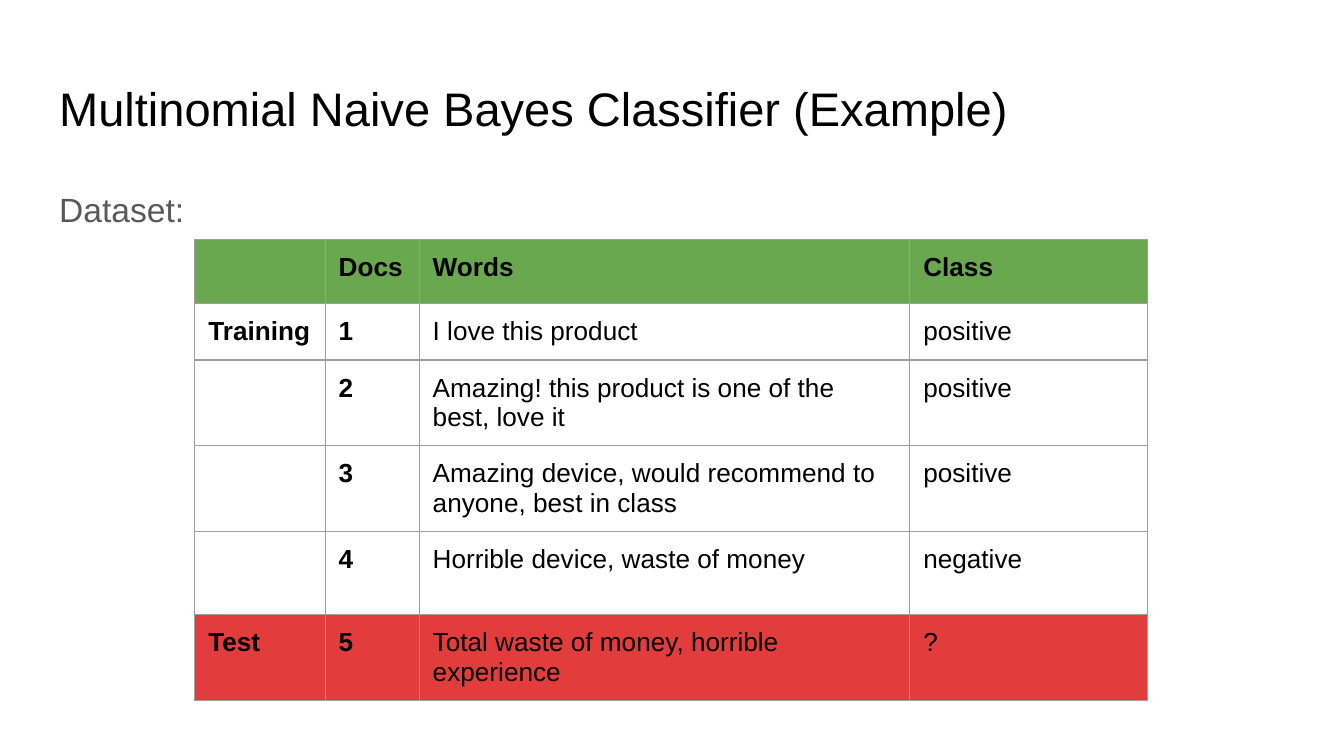
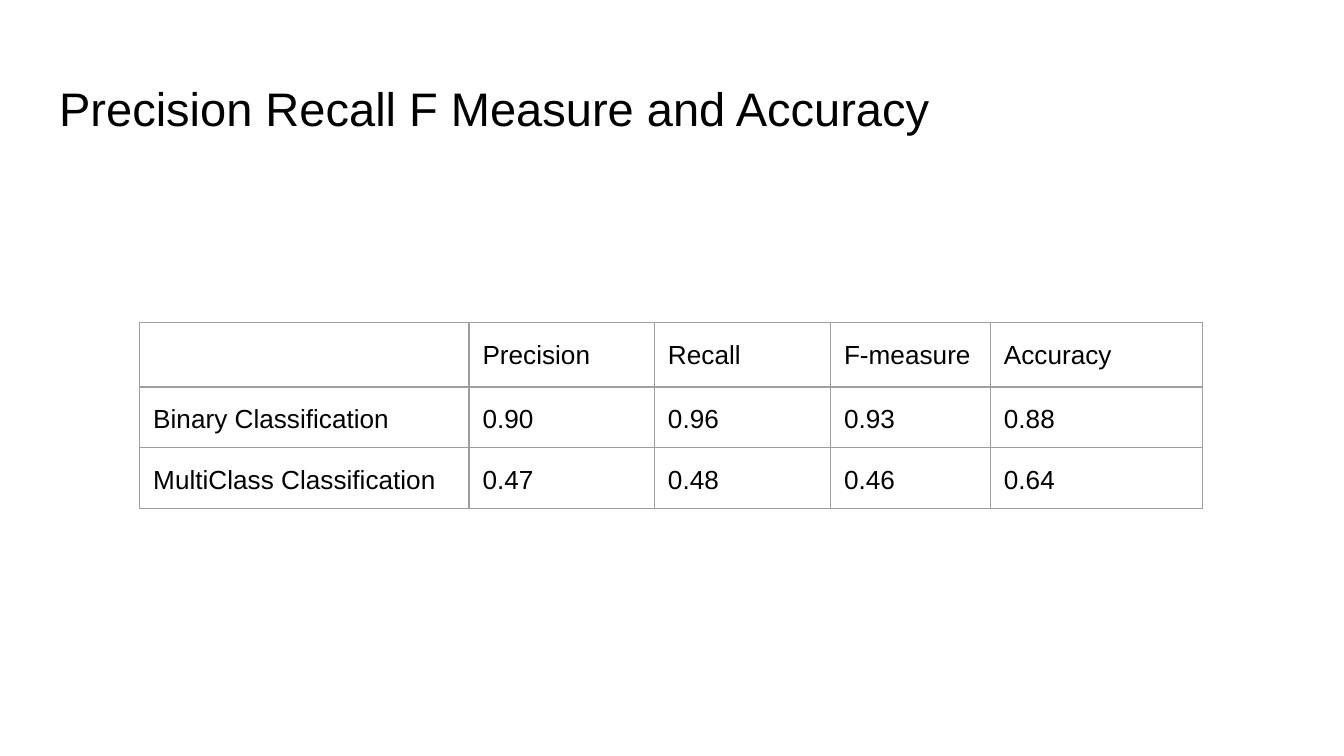
from lxml import etree
from pptx import Presentation
from pptx.dml.color import RGBColor
from pptx.enum import text
from pptx.oxml.ns import qn
from pptx.util import Inches, Pt

BLACK = RGBColor(0x00, 0x00, 0x00)
GRAY = RGBColor(0x59, 0x59, 0x59)
LINE = RGBColor(0x9E, 0x9E, 0x9E)
GREEN = RGBColor(0x6A, 0xA8, 0x4F)
RED = RGBColor(0xE2, 0x3C, 0x3C)
FONT = "Arial"
WIDE = 10
HIGH = WIDE * 9 / 16
LEFT, PAD = 0.34, 0.1

SLIDES = [
    {
        "title": "Multinomial Naive Bayes Classifier (Example)",
        "body": "Dataset:",
        "at": (1.45, 1.78),
        "cols": [0.97, 0.7, 3.65, 1.77],
        "rows": [0.4, 0.4, 0.62, 0.62, 0.62, 0.62],
        "fills": {0: GREEN, 5: RED},
        "bold": (1, 2),
        "space": 1.0,
        "cells": [
            ("", "Docs", "Words", "Class"),
            ("Training", "1", "I love this product", "positive"),
            ("", "2", "Amazing! this product is one of the best, love it", "positive"),
            ("", "3", "Amazing device, would recommend to anyone, best in class", "positive"),
            ("", "4", "Horrible device, waste of money", "negative"),
            ("Test", "5", "Total waste of money, horrible experience", "?"),
        ],
    },
    {
        "title": "Precision Recall F Measure and Accuracy",
        "body": None,
        "at": (1.04, 2.4),
        "cols": [2.45, 1.38, 1.31, 1.19, 1.58],
        "rows": [0.42] * 3,
        "fills": {},
        "bold": (0, 0),
        "space": 1.15,
        "cells": [
            ("", "Precision", "Recall", "F-measure", "Accuracy"),
            ("Binary Classification", "0.90", "0.96", "0.93", "0.88"),
            ("MultiClass Classification", "0.47", "0.48", "0.46", "0.64"),
        ],
    },
]


def style(para, size, color, bold=False, space=1.0, after=0):
    font = para.font
    font.name, font.size, font.bold = FONT, Pt(size), bold
    font.color.rgb = color
    para.alignment = text.PP_ALIGN.LEFT
    para.line_spacing = space
    para.space_before, para.space_after = Pt(0), Pt(after)


def pad(item):
    item.margin_left = item.margin_right = Inches(PAD)
    item.margin_top = item.margin_bottom = Inches(PAD)
    item.vertical_anchor = text.MSO_ANCHOR.TOP


def place(holder, words, top, high, size, color, **look):
    holder.left, holder.top = Inches(LEFT), Inches(top)
    holder.width, holder.height = Inches(WIDE - 2 * LEFT), Inches(high)
    frame = holder.text_frame
    frame.text = words
    frame.word_wrap = True
    frame.auto_size = text.MSO_AUTO_SIZE.NONE
    pad(frame)
    para = frame.paragraphs[0]
    style(para, size, color, **look)
    props = para._p.get_or_add_pPr()
    props.set("marL", "0")
    props.set("indent", "0")
    etree.SubElement(props, qn("a:buNone"))
    props.append(props.find(qn("a:defRPr")))


def border(cell):
    props = cell._tc.get_or_add_tcPr()
    for spot, side in enumerate(("lnL", "lnR", "lnT", "lnB")):
        line = etree.Element(qn("a:" + side), w=str(Pt(0.75)))
        fill = etree.SubElement(line, qn("a:solidFill"))
        etree.SubElement(fill, qn("a:srgbClr"), val=str(LINE))
        props.insert(spot, line)


def blank(para):
    end = etree.SubElement(para._p, qn("a:endParaRPr"), sz="1800")
    etree.SubElement(end, qn("a:latin"), typeface=FONT)


def grid(slide, data):
    cols, rows = data["cols"], data["rows"]
    spot = [Inches(n) for n in (*data["at"], sum(cols), sum(rows))]
    table = slide.shapes.add_table(len(rows), len(cols), *spot).table
    table.first_row = table.horz_banding = False
    for col, size in zip(table.columns, cols):
        col.width = Inches(size)
    for row, size in zip(table.rows, rows):
        row.height = Inches(size)
    heads, keys = data["bold"]
    for r, line in enumerate(data["cells"]):
        for c, words in enumerate(line):
            cell = table.cell(r, c)
            pad(cell)
            if r in data["fills"]:
                cell.fill.solid()
                cell.fill.fore_color.rgb = data["fills"][r]
            else:
                cell.fill.background()
            border(cell)
            para = cell.text_frame.paragraphs[0]
            if words:
                para.text = words
                style(para, 14, BLACK, bold=r < heads or c < keys,
                      space=data["space"])
            else:
                blank(para)


def main():
    deck = Presentation()
    deck.slide_width, deck.slide_height = Inches(WIDE), Inches(HIGH)
    for data in SLIDES:
        slide = deck.slides.add_slide(deck.slide_layouts[1 if data["body"] else 5])
        place(slide.shapes.title, data["title"], 0.49, 0.63, 25.2, BLACK)
        if data["body"]:
            place(slide.placeholders[1], data["body"], 1.26, 3.74, 18, GRAY,
                  space=1.15, after=12)
        grid(slide, data)
    deck.save("out.pptx")


if __name__ == "__main__":
    main()
